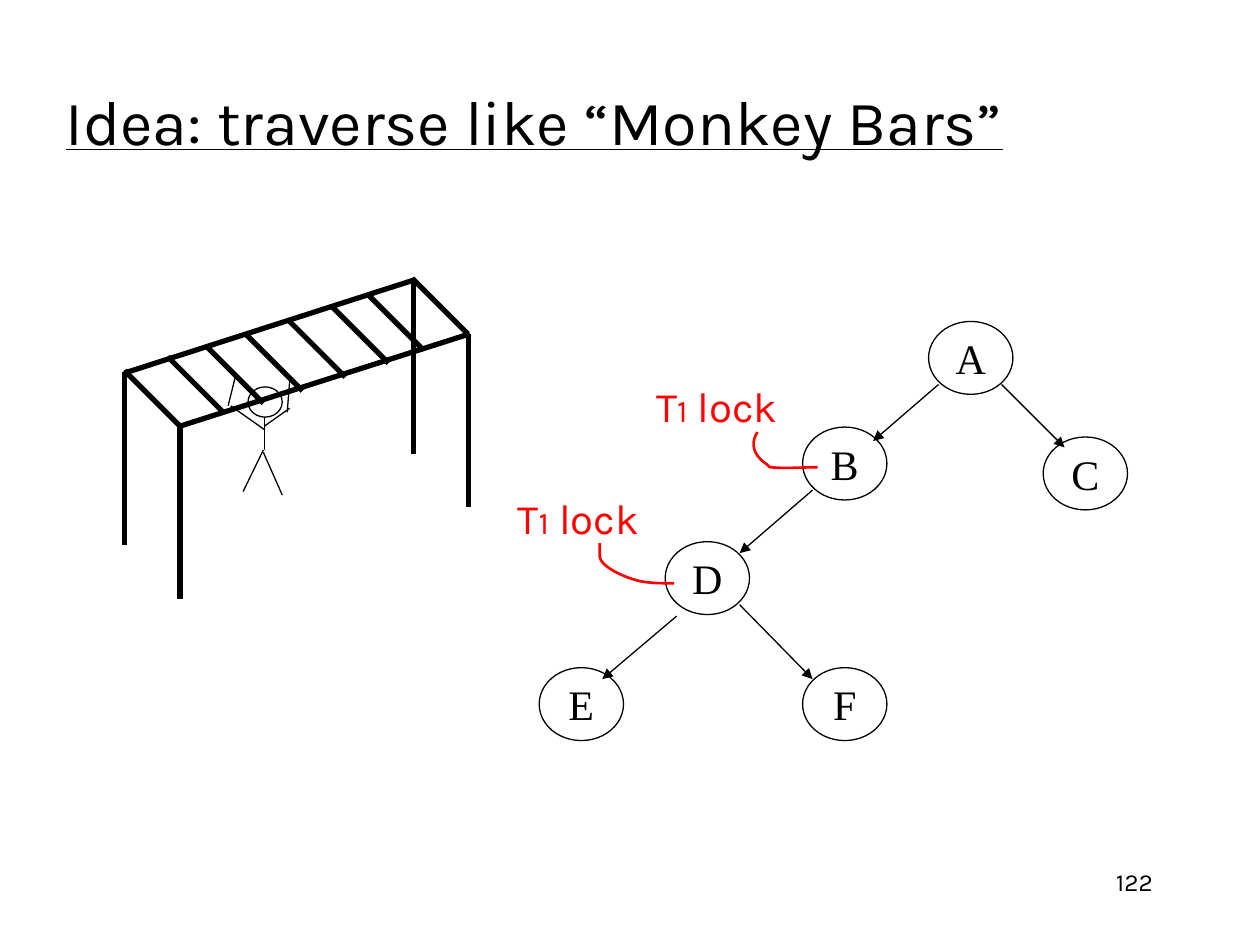
from lxml.etree import SubElement
from pptx import Presentation
from pptx.dml.color import RGBColor
from pptx.enum.shapes import MSO_CONNECTOR, MSO_SHAPE
from pptx.enum.text import MSO_ANCHOR, MSO_AUTO_SIZE, PP_ALIGN
from pptx.oxml.ns import qn
from pptx.util import Cm, Pt

BLACK = RGBColor(0x00, 0x00, 0x00)
WHITE = RGBColor(0xFF, 0xFF, 0xFF)
RED = RGBColor(0xFF, 0x00, 0x00)

RUNGS = [(2.51, 7.47), (3.38, 7.19), (4.19, 7.01), (4.98, 6.76),
         (5.84, 6.48), (6.71, 6.2), (7.42, 5.94), (8.31, 5.61)]
RUNG_SPAN = 1.12
POSTS = [(3.63, 8.59), (9.45, 6.73), (2.51, 7.49), (8.33, 5.66)]
POST_HEIGHT = 3.49
RAILS = [(9.47, 6.73, 3.63, 8.59), (8.36, 5.64, 2.51, 7.52)]

BODY = [(5.33, 8.41, 5.33, 9.07), (5.31, 9.07, 4.9, 9.91),
        (5.31, 9.12, 5.69, 9.98), (5.33, 8.66, 4.65, 8.18),
        (4.6, 8.18, 4.75, 7.57)]
RIGHT_ARM = [(5.33, 8.59, 5.84, 8.23), (5.79, 8.31, 5.84, 7.67)]

NODES = {"A": (18.72, 6.48), "B": (16.18, 8.61), "C": (21.03, 8.81),
         "D": (13.41, 10.92), "E": (10.87, 13.46), "F": (16.18, 13.46)}
EDGES = [(18.92, 7.75, 17.6, 8.89), (16.38, 9.88, 14.91, 11.15),
         (13.64, 12.42, 12.14, 13.69), (14.91, 12.19, 16.38, 13.69),
         (20.19, 7.75, 21.46, 9.02)]

LOCKS = [
    ((10.11, 9.8),
     [(13.59, 11.76), (13.39, 11.76), (13.18, 11.76), (12.98, 11.73),
      (12.78, 11.71), (12.14, 11.48), (12.09, 11.23),
      (12.09, 11.13), (12.09, 11.02), (12.09, 10.95)]),
    ((12.9, 7.54),
     [(15.27, 8.71), (15.09, 8.99), (15.24, 9.22), (15.47, 9.37),
      (15.49, 9.4), (15.52, 9.42), (15.54, 9.42),
      (15.85, 9.45), (16.18, 9.42), (16.48, 9.42)]),
]


def bezier(p0, p1, p2, p3, t):
    u = 1 - t
    return tuple(u**3 * a + 3 * u * u * t * b + 3 * u * t * t * c + t**3 * d
                 for a, b, c, d in zip(p0, p1, p2, p3))


class Sketch:
    font = "Karla"
    node_font = "Times New Roman"
    thin = 0.75
    thick = 3

    def __init__(self, slide):
        self.slide = slide

    def title(self, text, x, y, w, h):
        sp = self.slide.shapes.title
        sp.left, sp.top, sp.width, sp.height = Cm(x), Cm(y), Cm(w), Cm(h)
        sp.text_frame.vertical_anchor = MSO_ANCHOR.MIDDLE
        p = sp.text_frame.paragraphs[0]
        p.text = text
        p.alignment = PP_ALIGN.LEFT
        self.style(p.font, 36, BLACK)
        p.font.underline = True

    def style(self, font, size, color, name=None):
        font.name = name or self.font
        font.size = Pt(size)
        font.color.rgb = color

    def text(self, runs, x, y, w, h, color, align):
        sp = self.slide.shapes.add_textbox(Cm(x), Cm(y), Cm(w), Cm(h))
        p = sp.text_frame.paragraphs[0]
        p.alignment = align
        for text, size in runs:
            r = p.add_run()
            r.text = text
            self.style(r.font, size, color)
        return sp.text_frame

    def line(self, x1, y1, x2, y2, width=thin, arrow=False):
        cxn = self.slide.shapes.add_connector(
            MSO_CONNECTOR.STRAIGHT, Cm(x1), Cm(y1), Cm(x2), Cm(y2))
        cxn.line.color.rgb = BLACK
        cxn.line.width = Pt(width)
        if arrow:
            SubElement(cxn.line._get_or_add_ln(), qn("a:tailEnd"), type="triangle")
        SubElement(cxn._element.spPr, qn("a:effectLst"))

    def ellipse(self, x, y, w, h, text=None):
        sp = self.slide.shapes.add_shape(MSO_SHAPE.OVAL, Cm(x), Cm(y), Cm(w), Cm(h))
        sp.shadow.inherit = False
        sp.fill.solid()
        sp.fill.fore_color.rgb = WHITE
        sp.line.color.rgb = BLACK
        sp.line.width = Pt(self.thin)
        if text:
            tf = sp.text_frame
            tf.word_wrap = False
            tf.vertical_anchor = MSO_ANCHOR.MIDDLE
            p = tf.paragraphs[0]
            p.text = text
            p.alignment = PP_ALIGN.CENTER
            self.style(p.font, 24, BLACK, self.node_font)

    def curve(self, points, steps=12):
        pts = [bezier(*points[i:i + 4], k / steps)
               for i in range(0, len(points) - 1, 3)
               for k in range(1, steps + 1)]
        x, y = points[0]
        builder = self.slide.shapes.build_freeform(Cm(x), Cm(y))
        builder.add_line_segments([(Cm(a), Cm(b)) for a, b in pts], close=False)
        sp = builder.convert_to_shape()
        sp.shadow.inherit = False
        sp.fill.background()
        sp.line.color.rgb = RED
        sp.line.width = Pt(1.5)

    def lock(self, x, y, pointer):
        tf = self.text([("T", 24), ("1", 18), (" lock", 24)],
                       x, y, 3.1, 1.27, RED, PP_ALIGN.CENTER)
        tf.word_wrap = False
        tf.auto_size = MSO_AUTO_SIZE.SHAPE_TO_FIT_TEXT
        tf.vertical_anchor = MSO_ANCHOR.MIDDLE
        self.curve(pointer)


def main():
    prs = Presentation()
    prs.slide_width, prs.slide_height = Cm(25.4), Cm(19.05)
    s = Sketch(prs.slides.add_slide(prs.slide_layouts[5]))

    s.title("Idea: traverse like “Monkey Bars”", 1.07, 1.14, 21.59, 2.57)
    tf = s.text([("122", 14)], 18.21, 17.35, 5.28, 1.27, BLACK, PP_ALIGN.RIGHT)
    tf.word_wrap = True

    s.ellipse(5, 7.8, 0.69, 0.61)
    for limb in BODY:
        s.line(*limb)
    for x, y in POSTS:
        s.line(x, y, x, y + POST_HEIGHT, s.thick)
    for rail in RAILS:
        s.line(*rail, s.thick)
    for x, y in RUNGS:
        s.line(x, y, x + RUNG_SPAN, y + RUNG_SPAN, s.thick)
    for limb in RIGHT_ARM:
        s.line(*limb)

    for name, (x, y) in NODES.items():
        s.ellipse(x, y, 1.7, 1.47, name)
    for edge in EDGES:
        s.line(*edge, arrow=True)
    for (x, y), pointer in LOCKS:
        s.lock(x, y, pointer)

    prs.save("out.pptx")


if __name__ == "__main__":
    main()
